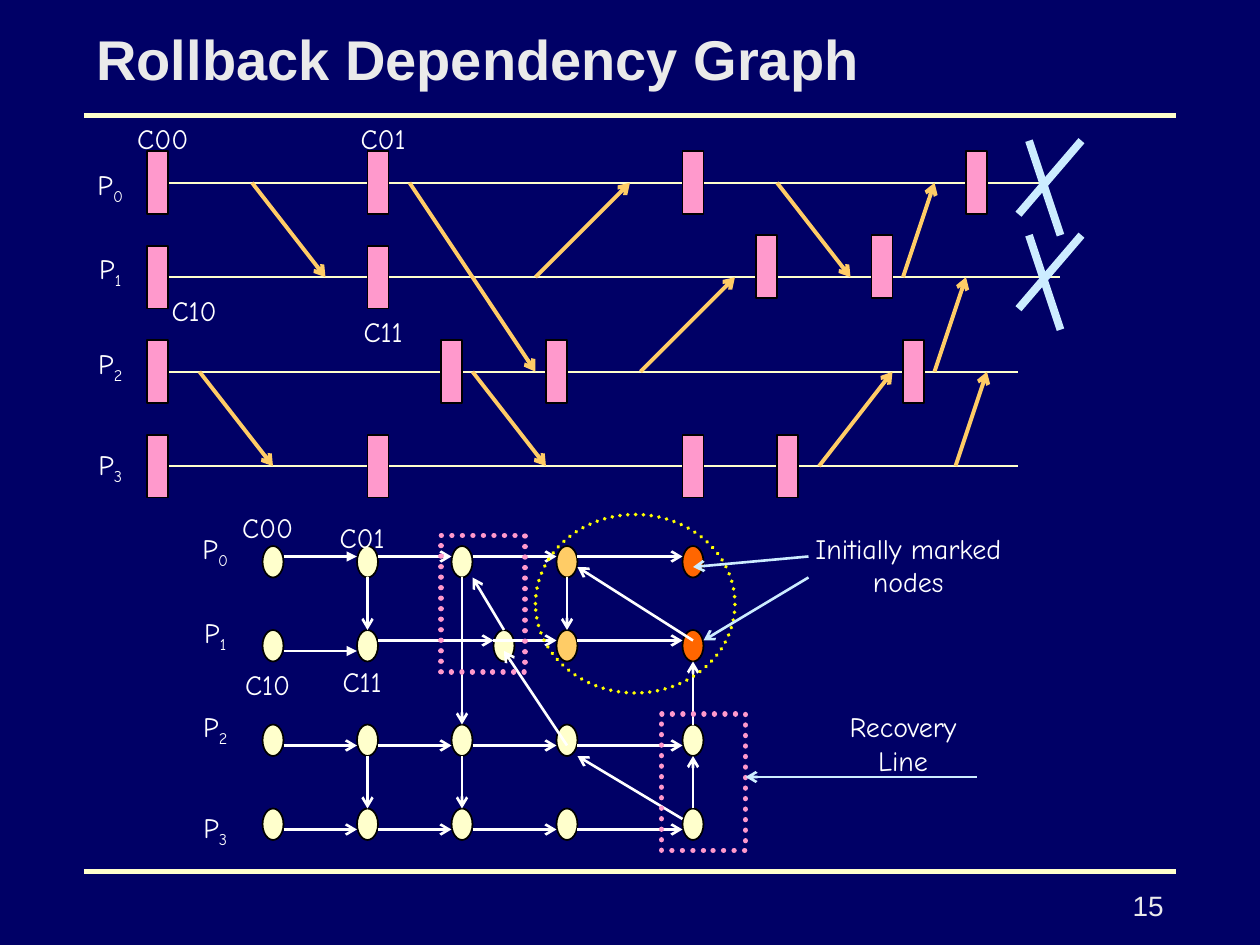
from lxml import etree
from pptx import Presentation
from pptx.dml.color import RGBColor
from pptx.enum.dml import MSO_LINE
from pptx.enum.shapes import MSO_CONNECTOR, MSO_SHAPE
from pptx.enum.text import MSO_ANCHOR, PP_ALIGN
from pptx.oxml.ns import qn
from pptx.util import Pt

STRAIGHT = MSO_CONNECTOR.STRAIGHT
RECT, OVAL = MSO_SHAPE.RECTANGLE, MSO_SHAPE.OVAL
LEFT, CENTER, RIGHT = PP_ALIGN.LEFT, PP_ALIGN.CENTER, PP_ALIGN.RIGHT
TOP, MIDDLE = MSO_ANCHOR.TOP, MSO_ANCHOR.MIDDLE
DOTTED = MSO_LINE.ROUND_DOT

COLORS = {
    "bg": "000066", "title": "EAEAEA", "text": "FFFFFF", "outline": "000000",
    "cream": "FFFFCC", "pink": "FF99CC", "amber": "FFCC66", "orange": "FF6600",
    "ice": "CCECFF", "yellow": "FFFF00", "edge": "FFFFFF",
}
SANS, HAND = "Arial", "Comic Neue"

# Timeline diagram: one entry per process
ROW_TOP, ROW_GAP = 104.4, 54
TIMELINE_ENDS = [600, 606, 582, 582]
CHECKPOINTS = [  # x, vertical shift
    [(84, 0), (210, 0), (390, 0), (552, 0)],
    [(84, 0), (210, 0), (432, -6), (498, -6)],
    [(84, 0), (252, 0), (312, 0), (516, 0)],
    [(84, 0), (210, 0), (390, 0), (444, 0)],
]
CRASHED = [0, 1]
MESSAGES = [  # sender, x sent, receiver, x received
    (0, 144, 1, 186), (2, 114, 3, 156), (2, 270, 3, 312), (0, 234, 2, 306),
    (0, 444, 1, 486), (1, 306, 0, 360), (2, 366, 1, 420), (3, 468, 2, 510),
    (1, 516, 0, 534), (2, 534, 1, 552), (3, 546, 2, 564),
]

# Dependency graph: node columns, node tops and edge heights per process
NODE_W, NODE_H = 12, 18
NODE_XS = [
    [150, 204, 258, 318, 390],
    [150, 204, 282, 318, 390],
    [150, 204, 258, 318, 390],
    [150, 204, 258, 318, 390],
]
NODE_YS = [312, 360, 414, 462]
EDGE_YS = [[318] * 4, [372, 366, 366, 366], [426] * 4, [474] * 4]
NODE_FILLS = {(r, c): fill for r in (0, 1) for c, fill in ((3, "amber"), (4, "orange"))}
TRIANGLE_EDGES = {(0, 0), (1, 0)}
EDGES_FROM_LEFT = {(1, 2)}
CROSS_EDGES = [
    (396, 366, 330, 324), (324, 330, 324, 360), (288, 360, 270, 330),
    (264, 330, 264, 414), (264, 432, 264, 462), (210, 432, 210, 462),
    (210, 330, 210, 360), (390, 468, 330, 432), (324, 426, 288, 372),
    (396, 462, 396, 432), (396, 414, 396, 378),
]
POINTERS = [(462, 318, 396, 324), (462, 330, 402, 366), (558, 444, 426, 444)]
MARKED_AREA = (306, 294, 114, 102)
RECOVERY_BOXES = [(378, 408, 48, 78), (252, 306, 48, 78)]

# Labels
PROCESS_LABELS = [(42, [92.4, 140.4, 194.4, 252]), (102, [300, 348, 402, 459.6])]
CHECKPOINT_LABELS = [
    ("C00", 60, 66), ("C01", 186, 66), ("C11", 186, 176.4), ("C10", 78, 164.4),
    ("C00", 120, 288), ("C10", 120, 378), ("C01", 174, 294), ("C11", 174, 376),
]
CALLOUTS = [
    ("Initially marked nodes", 456, 300, 126),
    ("Recovery Line", 474, 402, 84),
]

prs = Presentation()
prs.slide_width, prs.slide_height = Pt(720), Pt(540)
s = prs.slides.add_slide(prs.slide_layouts[6])


def rgb(name):
    return RGBColor.from_string(COLORS[name])


s.background.fill.solid()
s.background.fill.fore_color.rgb = rgb("bg")


def add_line(x1, y1, x2, y2, color, width, head=None):
    cx = s.shapes.add_connector(STRAIGHT, Pt(x1), Pt(y1), Pt(x2), Pt(y2))
    cx.line.color.rgb = rgb(color)
    cx.line.width = Pt(width)
    if head:
        etree.SubElement(cx.line._get_or_add_ln(), qn("a:tailEnd"), type=head)
    etree.SubElement(cx._element.spPr, qn("a:effectLst"))
    return cx


def add_box(kind, x, y, w, h, fill=None, line="outline", width=1):
    sp = s.shapes.add_shape(kind, Pt(x), Pt(y), Pt(w), Pt(h))
    sp.shadow.inherit = False
    if fill:
        sp.fill.solid()
        sp.fill.fore_color.rgb = rgb(fill)
    else:
        sp.fill.background()
    sp.line.color.rgb = rgb(line)
    sp.line.width = Pt(width)
    return sp


def add_dotted(kind, area, color, width):
    sp = add_box(kind, *area, line=color, width=width)
    sp.line.dash_style = DOTTED
    sp.line._get_or_add_ln().set("cap", "rnd")


def add_text(text, x, y, w, h, sub="", size=16, font=HAND, color="text",
             align=CENTER, anchor=TOP, bold=False):
    tf = s.shapes.add_textbox(Pt(x), Pt(y), Pt(w), Pt(h)).text_frame
    tf.word_wrap = True
    tf.vertical_anchor = anchor
    p = tf.paragraphs[0]
    p.alignment = align
    p.font.size, p.font.name, p.font.bold = Pt(size), font, bold
    p.font.color.rgb = rgb(color)
    p.add_run().text = text
    if sub:
        r = p.add_run()
        r.text = sub
        r._r.get_or_add_rPr().set("baseline", "-25000")


# Frame, title and page number
for y in (66, 498):
    add_line(48, y, 672, y, "cream", 3)
add_text("Rollback Dependency Graph", 48, 12, 624, 42, size=32, font=SANS,
         color="title", align=LEFT, anchor=MIDDLE, bold=True)
add_text("15", 594, 504, 78, 24, font=SANS, color="title", align=RIGHT)

# Timelines with their checkpoints
row_ys = [ROW_TOP + ROW_GAP * i for i in range(len(TIMELINE_ENDS))]
for y, end, checkpoints in zip(row_ys, TIMELINE_ENDS, CHECKPOINTS):
    timeline = add_line(84, y, end, y, "cream", 1)
    boxes = [add_box(RECT, x, y - 18 + dy, 12, 36, "pink") for x, dy in checkpoints]
    timeline.begin_connect(boxes[0], 1)

# Crashes and messages
for row in CRASHED:
    y = row_ys[row]
    add_line(588, y - 24, 606, y + 30, "ice", 4.5)
    add_line(618, y - 24, 582, y + 18, "ice", 4.5)
for sender, x1, receiver, x2 in MESSAGES:
    add_line(x1, row_ys[sender], x2, row_ys[receiver], "amber", 2.25, "arrow")

# Graph nodes, then edges over them
for row, (xs, y) in enumerate(zip(NODE_XS, NODE_YS)):
    for col, x in enumerate(xs):
        add_box(OVAL, x, y, NODE_W, NODE_H, NODE_FILLS.get((row, col), "cream"))
for row, (xs, ys) in enumerate(zip(NODE_XS, EDGE_YS)):
    for col, y in enumerate(ys):
        start = xs[col] + (0 if (row, col) in EDGES_FROM_LEFT else NODE_W)
        head = "triangle" if (row, col) in TRIANGLE_EDGES else "arrow"
        add_line(start, y, xs[col + 1], y, "edge", 1.5, head)
for edge in CROSS_EDGES:
    add_line(*edge, "edge", 1.5, "arrow")

# Marked nodes and recovery line
add_dotted(OVAL, MARKED_AREA, "yellow", 2.25)
for area in RECOVERY_BOXES:
    add_dotted(RECT, area, "pink", 3)
for pointer in POINTERS:
    add_line(*pointer, "ice", 1.5, "arrow")

# Labels
for x, ys in PROCESS_LABELS:
    for i, y in enumerate(ys):
        add_text("P", x, y, 42, 29.5, sub=str(i))
for text, x, y in CHECKPOINT_LABELS:
    add_text(text, x, y, 66, 26.6)
for text, x, y, w in CALLOUTS:
    add_text(text, x, y, w, 46)

prs.save("out.pptx")
